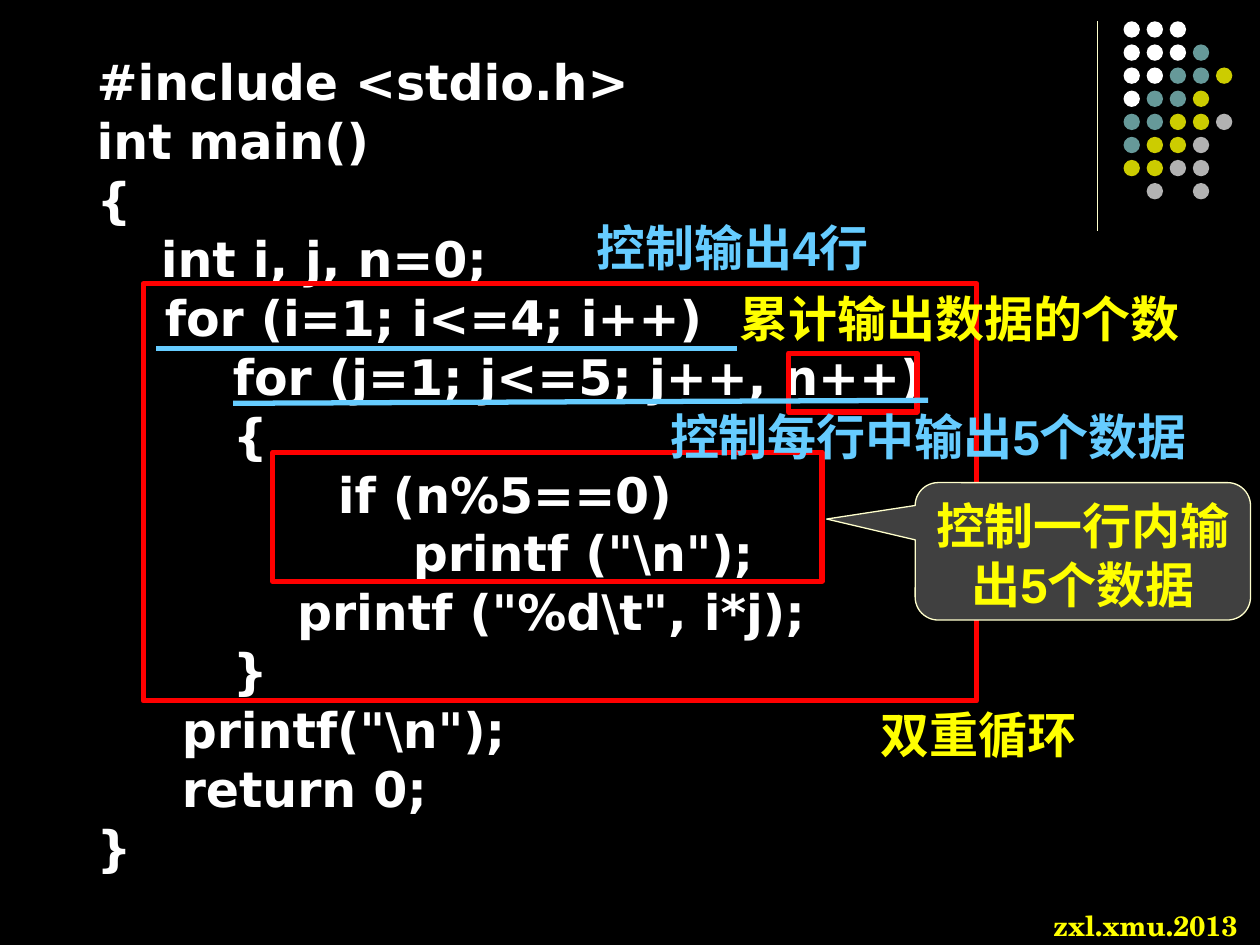
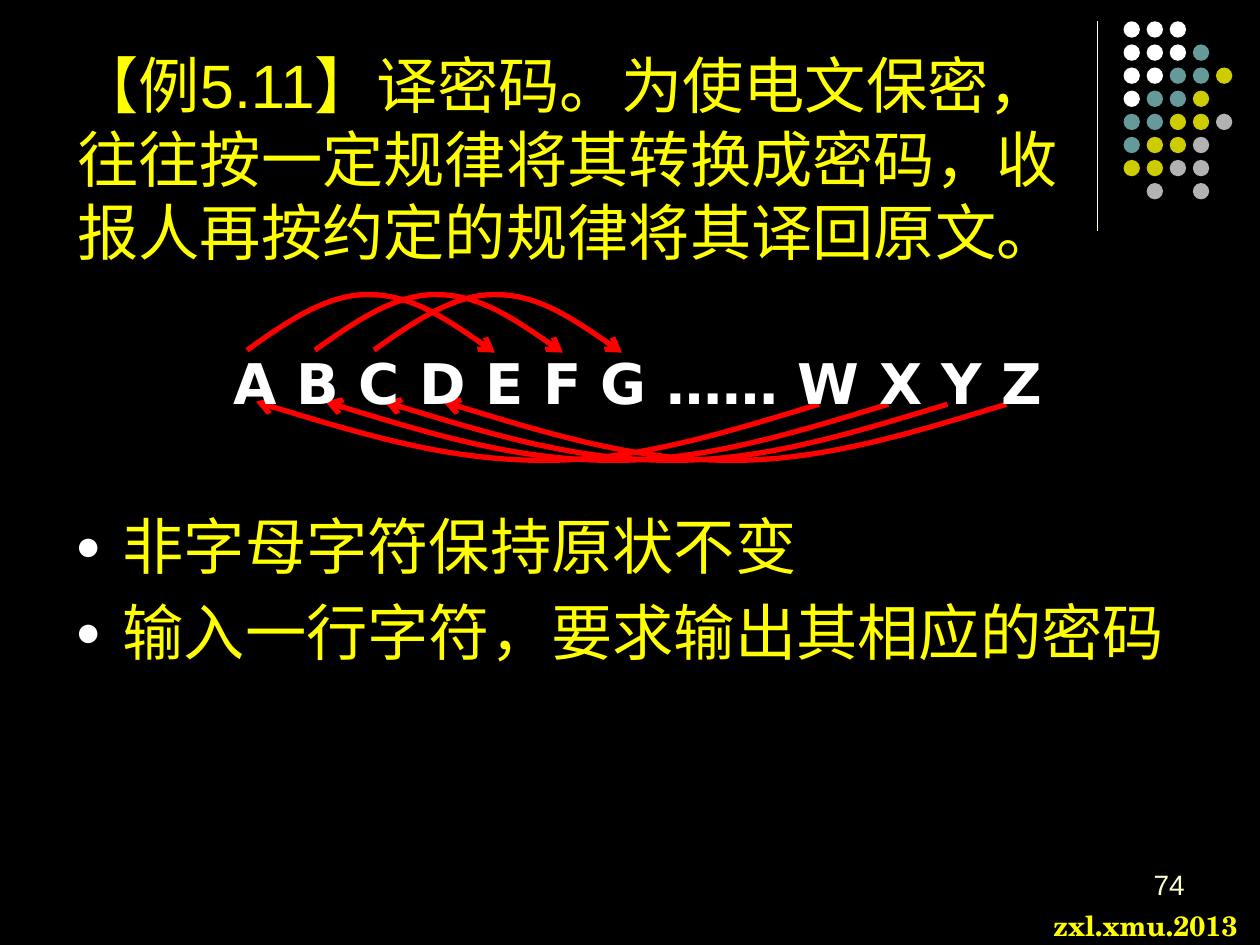
from lxml.etree import SubElement
from pptx import Presentation
from pptx.dml.color import RGBColor
from pptx.enum.shapes import MSO_CONNECTOR, MSO_SHAPE
from pptx.enum.text import MSO_ANCHOR, PP_ALIGN
from pptx.oxml.ns import qn
from pptx.util import Cm, Pt

COLORS = {
    "black": "000000",
    "white": "FFFFFF",
    "cream": "FFFFCC",
    "teal": "669999",
    "olive": "CCCC00",
    "silver": "B2B2B2",
    "yellow": "FFFF00",
    "sky": "66CCFF",
    "red": "FF0000",
    "charcoal": "404040",
}
BODY_FONT = "Arial"
CODE_FONT = "DejaVu Sans"
FOOTER_FONT = "TeX Gyre Schola"
HANGING = Cm(0.95)
TAB_SIZE = Cm(2.54)

DOT_ROWS = ["WWW", "WWWT", "WWTTO", "WTTO", "TTOOS", "TOOS", "OOSS", " S S"]
DOT_COLORS = {"W": "white", "T": "teal", "O": "olive", "S": "silver"}
DOT_PITCH = 3.26 / 7

CODE_LINES = [
    "#include <stdio.h>",
    "int main()",
    "{",
    "\t int i, j, n=0;",
    "    for (i=1; i<=4; i++)",
    "        for (j=1; j<=5; j++, n++)",
    "        {",
    "\t\t    if (n%5==0)",
    "\t\t\t printf (\"\\n\");",
    "\t         printf (\"%d\\t\", i*j);",
    "        }",
    "     printf(\"\\n\");\t",
    "     return 0;",
    "}",
]

FORWARD_ARC = [(0, 7.06), (0.81, 6.48), (1.63, 5.92), (2.46, 5.94),
               (3.3, 5.94), (4.17, 6.53), (5, 7.11)]
WRAP_ARC = [(0, 8.15), (-1.85, 8.71), (-3.71, 9.3), (-5.59, 9.28),
            (-7.49, 9.28), (-9.42, 8.69), (-11.35, 8.1)]


def rgb(name):
    return RGBColor.from_string(COLORS[name])


def set_hanging(paragraph):
    properties = paragraph._p.get_or_add_pPr()
    properties.set("marL", str(HANGING))
    properties.set("indent", str(-HANGING))
    properties.set("defTabSz", str(TAB_SIZE))
    return properties


def set_bullet(paragraph):
    properties = set_hanging(paragraph)
    color = SubElement(properties, qn("a:buClr"))
    SubElement(color, qn("a:srgbClr"), val=COLORS["white"])
    SubElement(properties, qn("a:buSzPct"), val="70000")
    SubElement(properties, qn("a:buFont"), typeface=BODY_FONT)
    SubElement(properties, qn("a:buChar"), char="●")


def style_font(paragraph, size, color, font=BODY_FONT, bold=False):
    paragraph.font.size = Pt(size)
    paragraph.font.name = font
    paragraph.font.bold = bold
    paragraph.font.color.rgb = rgb(color)


def add_text(slide, box, lines, size, color, font=BODY_FONT, bold=False,
             align=PP_ALIGN.LEFT, anchor=MSO_ANCHOR.TOP, wrap=True, prepare=None):
    shape = slide.shapes.add_textbox(*map(Cm, box))
    frame = shape.text_frame
    frame.word_wrap = wrap
    frame.vertical_anchor = anchor
    for index, line in enumerate(lines):
        paragraph = frame.add_paragraph() if index else frame.paragraphs[0]
        paragraph.text = line
        paragraph.alignment = align
        if prepare:
            prepare(paragraph)
        style_font(paragraph, size, color, font, bold)
    return frame


def add_label(slide, box, text, color):
    add_text(slide, box, [text], 28, color, bold=True, align=PP_ALIGN.CENTER)


def add_line(slide, start, end, color, width):
    line = slide.shapes.add_connector(
        MSO_CONNECTOR.STRAIGHT, *map(Cm, start + end))
    line.line.color.rgb = rgb(color)
    line.line.width = Pt(width)
    SubElement(line.element.spPr, qn("a:effectLst"))


def add_shape(slide, kind, box, fill=None, line=None, width=3):
    shape = slide.shapes.add_shape(kind, *map(Cm, box))
    shape.shadow.inherit = False
    if fill:
        shape.fill.solid()
        shape.fill.fore_color.rgb = rgb(fill)
    else:
        shape.fill.background()
    if line:
        shape.line.color.rgb = rgb(line)
        shape.line.width = Pt(width)
    else:
        shape.line.fill.background()
    return shape


def add_callout(slide, box, text):
    callout = add_shape(slide, MSO_SHAPE.ROUNDED_RECTANGULAR_CALLOUT, box,
                        "charcoal", "cream", 0.75)
    for index, value in enumerate((-0.764, -0.235, 0.167)):
        callout.adjustments[index] = value
    frame = callout.text_frame
    frame.word_wrap = True
    frame.vertical_anchor = MSO_ANCHOR.TOP
    paragraph = frame.paragraphs[0]
    paragraph.text = text
    paragraph.alignment = PP_ALIGN.CENTER
    style_font(paragraph, 28, "yellow", bold=True)


def bend_segments(shape):
    outline = shape.element.spPr.find(".//" + qn("a:path"))
    segments = outline.findall(qn("a:lnTo"))
    for first in range(0, len(segments), 3):
        curve = SubElement(outline, qn("a:cubicBezTo"))
        for segment in segments[first:first + 3]:
            curve.append(segment[0])
            outline.remove(segment)


def add_curved_arrow(slide, left, arc):
    points = [(Cm(left + x), Cm(y)) for x, y in arc]
    builder = slide.shapes.build_freeform(*points[0])
    builder.add_line_segments(points[1:], close=False)
    arrow = builder.convert_to_shape()
    bend_segments(arrow)
    arrow.shadow.inherit = False
    arrow.fill.background()
    arrow.line.color.rgb = rgb("red")
    arrow.line.width = Pt(3)
    SubElement(arrow.element.spPr.find(qn("a:ln")), qn("a:tailEnd"), type="arrow")


def add_base_slide(presentation):
    slide = presentation.slides.add_slide(presentation.slide_layouts[6])
    slide.background.fill.solid()
    slide.background.fill.fore_color.rgb = rgb("black")
    add_line(slide, (22.12, 0.43), (22.12, 4.65), "cream", 0.75)
    for row, codes in enumerate(DOT_ROWS):
        for column, code in enumerate(codes):
            if code in DOT_COLORS:
                box = (22.65 + column * DOT_PITCH, 0.43 + row * DOT_PITCH, 0.33, 0.33)
                add_shape(slide, MSO_SHAPE.OVAL, box, DOT_COLORS[code])
    add_text(slide, (20.98, 18.19, 4.42, 0.94), ["zxl.xmu.2013"], 16, "yellow",
             FOOTER_FONT, bold=True, wrap=False)
    return slide


def build_nested_loop_slide(presentation):
    slide = add_base_slide(presentation)
    code = add_text(slide, (1.7, 0.92, 22.53, 17.45), CODE_LINES, 28, "white",
                    CODE_FONT, bold=True, prepare=set_hanging)
    for paragraph in code.paragraphs:
        paragraph.line_spacing = Pt(33.65)
    for frame_box in ((15.9, 7.12, 2.59, 1.19),
                      (5.5, 9.12, 11.07, 2.6),
                      (2.89, 5.72, 16.8, 8.41)):
        add_shape(slide, MSO_SHAPE.RECTANGLE, frame_box, line="red")
    add_label(slide, (14.29, 5.69, 10.11, 1.45), "累计输出数据的个数", "yellow")
    add_callout(slide, (18.45, 9.73, 6.76, 2.77), "控制一行内输出5个数据")
    add_label(slide, (16.75, 14.07, 5.94, 1.45), "双重循环", "yellow")
    add_label(slide, (11.31, 4.27, 6.93, 1.45), "控制输出4行", "sky")
    add_line(slide, (3.15, 7.03), (14.86, 7.03), "sky", 3)
    add_label(slide, (12.91, 8.08, 11.61, 1.45), "控制每行中输出5个数据", "sky")
    add_line(slide, (4.7, 8.13), (18.71, 8.07), "sky", 3)


def build_cipher_slide(presentation):
    slide = add_base_slide(presentation)
    add_text(slide, (1.31, 0.73, 20.96, 4.8),
             ["【例5.11】译密码。为使电文保密，往往按一定规律将其转换成密码，"
              "收报人再按约定的规律将其译回原文。"],
             35, "yellow", anchor=MSO_ANCHOR.BOTTOM)
    rules = add_text(slide, (1.27, 10.13, 22.86, 7.39),
                     ["非字母字符保持原状不变", "输入一行字符，要求输出其相应的密码"],
                     35, "yellow", prepare=set_bullet)
    rules.paragraphs[1].space_before = Pt(7)
    add_text(slide, (18.21, 17.36, 5.92, 1.27), ["74"], 16, "cream",
             align=PP_ALIGN.RIGHT)
    for left in (4.98, 6.35, 7.54):
        add_curved_arrow(slide, left, FORWARD_ARC)
    for left in (16.51, 17.91, 19.1, 20.29):
        add_curved_arrow(slide, left, WRAP_ARC)
    letters = add_text(slide, (4.3, 6.63, 17.15, 1.91),
                       ["A B C D E F G …… W X Y Z"], 32, "white", CODE_FONT,
                       bold=True, align=PP_ALIGN.CENTER, prepare=set_hanging)
    letters.paragraphs[0].line_spacing = 1.2


def main():
    presentation = Presentation()
    presentation.slide_width = Cm(25.4)
    presentation.slide_height = Cm(19.05)
    build_nested_loop_slide(presentation)
    build_cipher_slide(presentation)
    presentation.save("out.pptx")


if __name__ == "__main__":
    main()
